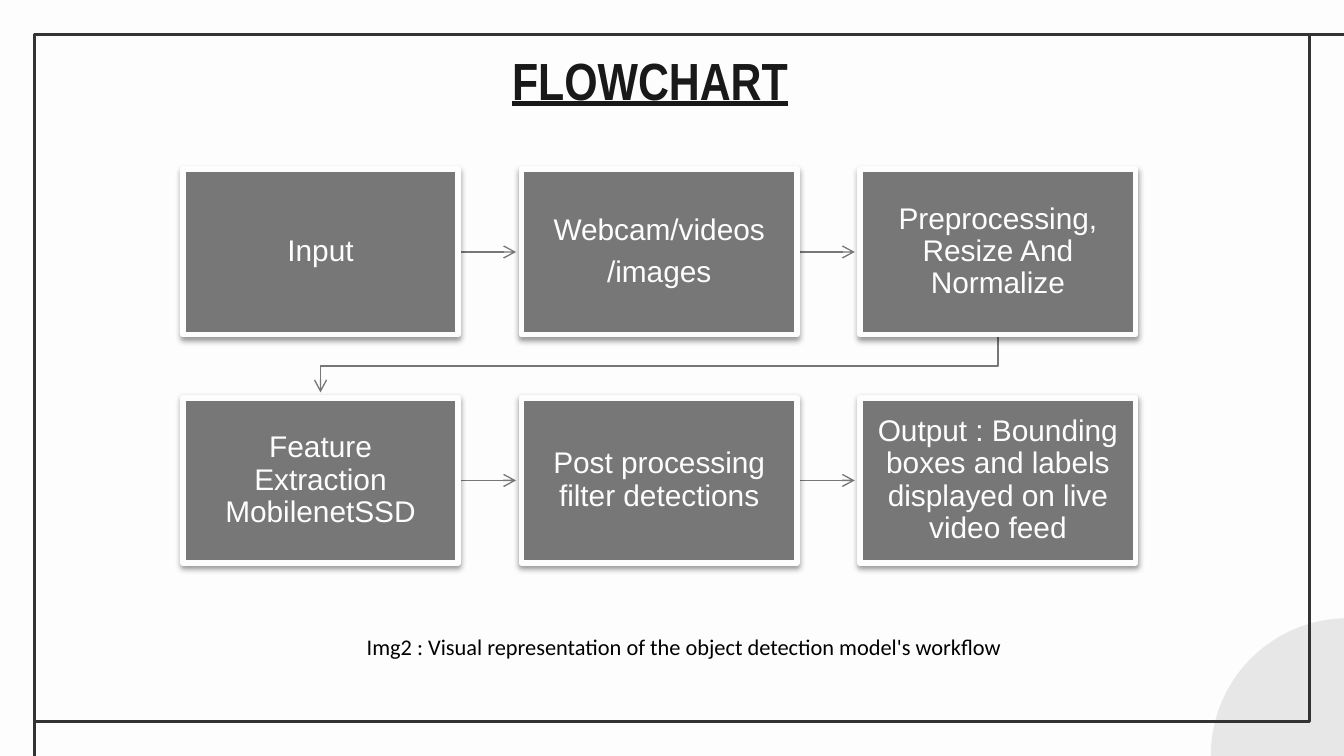
from pptx import Presentation
from pptx.util import Inches, Pt
from pptx.dml.color import RGBColor
from pptx.enum.shapes import MSO_SHAPE as Shape, MSO_CONNECTOR as Line
from pptx.enum.text import PP_ALIGN as Align, MSO_ANCHOR as Anchor
from pptx.oxml import parse_xml
from pptx.oxml.ns import nsdecls

HEX = {"paper": "FDFDFD", "disc": "E8E7E7", "frame": "333333",
       "title": "191919", "box": "777777", "note": "000000"}
INK = {name: RGBColor.from_string(code) for name, code in HEX.items()}
W = 10
H = W * 9 / 16


def style(item, color, width, head=False):
    """Set the outline, with an open arrowhead if asked, and no shadow."""
    item.line.color.rgb = INK[color]
    item.line.width = Pt(width)
    if head:
        item.line._get_or_add_ln().append(
            parse_xml(f'<a:tailEnd {nsdecls("a")} type="arrow"/>'))
    item._element.spPr.append(parse_xml(f'<a:effectLst {nsdecls("a")}/>'))


def write(frame, text, font, size, color, align):
    frame.text = text
    frame.word_wrap = True
    for para in frame.paragraphs:
        para.alignment = align
        for run in para.runs:
            run.font.name = font
            run.font.size = Pt(size)
            run.font.color.rgb = INK[color]


deck = Presentation()
deck.slide_width, deck.slide_height = Inches(W), Inches(H)
slide = deck.slides.add_slide(deck.slide_layouts[5])
slide.background.fill.solid()
slide.background.fill.fore_color.rgb = INK["paper"]
shapes = slide.shapes

# Corner disc
disc = shapes.add_shape(Shape.OVAL, Inches(9.01), Inches(4.6), Inches(2.04), Inches(2.04))
disc.fill.solid()
disc.fill.fore_color.rgb = INK["disc"]
disc.line.fill.background()
disc.shadow.inherit = False

# Frame, with two lines running on to the slide's edges
edge = 0.255
frame = shapes.add_shape(Shape.RECTANGLE, Inches(edge), Inches(edge),
                         Inches(W - 2 * edge), Inches(H - 2 * edge))
frame.fill.background()
style(frame, "frame", 1.5)
for ends in ((W, edge, W - edge, edge), (edge, H - edge, edge, H)):
    line = shapes.add_connector(Line.STRAIGHT, *map(Inches, ends))
    style(line, "frame", 1.5)

# Title
title = shapes.title
title.left, title.top = Inches(3.71), Inches(0.26)
title.width, title.height = Inches(2.3), Inches(0.63)
text = title.text_frame
write(text, "FLOWCHART", "Arial Narrow", 28, "title", Align.JUSTIFY)
text.vertical_anchor = Anchor.TOP
text.margin_left = text.margin_right = text.margin_top = text.margin_bottom = Inches(0.1)
font = text.paragraphs[0].runs[0].font
font.bold = font.underline = True

# Steps on a grid of three columns and two rows
steps = [["Input", "Webcam/videos\n/images", "Preprocessing, Resize And Normalize"],
         ["Feature Extraction MobilenetSSD", "Post processing filter detections",
          "Output : Bounding boxes and labels displayed on live video feed"]]
left, top = 1.36, 1.26
wide, high = 2.05, 1.23
col, row = 2.52, 1.7
gap = 0.04  # space between an arrow's tip and its box
back = 2    # place behind all other shapes

for r, names in enumerate(steps):
    last = None
    for c, name in enumerate(names):
        x, y = left + c * col, top + r * row
        box = shapes.add_shape(Shape.RECTANGLE, Inches(x), Inches(y), Inches(wide), Inches(high))
        box.fill.solid()
        box.fill.fore_color.rgb = INK["box"]
        style(box, "paper", 3)
        box._element.spPr[-1].append(parse_xml(
            f'<a:outerShdw {nsdecls("a")} blurRad="40000" dist="20000" dir="5400000" '
            'rotWithShape="0"><a:srgbClr val="000000"><a:alpha val="38000"/>'
            '</a:srgbClr></a:outerShdw>'))
        text = box.text_frame
        write(text, name, "Arial", 16, "paper", Align.CENTER)
        text.vertical_anchor = Anchor.MIDDLE
        text.margin_left = text.margin_right = Inches(0.12)
        text.margin_top = text.margin_bottom = Inches(0.12)
        for para in text.paragraphs:
            para.line_spacing = 0.9
            para.space_after = Pt(5.6)

        # Arrow from the step before
        if last:
            mid = Inches(y + high / 2)
            arrow = shapes.add_connector(Line.STRAIGHT, Inches(x - col + wide), mid,
                                         Inches(x - gap), mid)
            arrow.begin_connect(last, 3)
            style(arrow, "box", 0.75, head=True)
            shapes._spTree.insert(back, arrow._element)
        last = box

# Bent arrow from the end of the first row to the start of the second
first = left + wide / 2
end = first + 2 * col
turn = top + (row + high) / 2
pen = shapes.build_freeform(Inches(end), Inches(top + high))
pen.add_line_segments([(Inches(end), Inches(turn)), (Inches(first), Inches(turn)),
                       (Inches(first), Inches(top + row - gap))], close=False)
bend = pen.convert_to_shape()
bend.fill.background()
style(bend, "box", 0.75, head=True)
shapes._spTree.insert(back, bend._element)

# Caption
note = shapes.add_textbox(Inches(2.63), Inches(4.66), Inches(5.52), Inches(0.3))
write(note.text_frame, "Img2 : Visual representation of the object detection model's workflow",
      "Calibri", 12, "note", Align.JUSTIFY)

deck.save("out.pptx")
